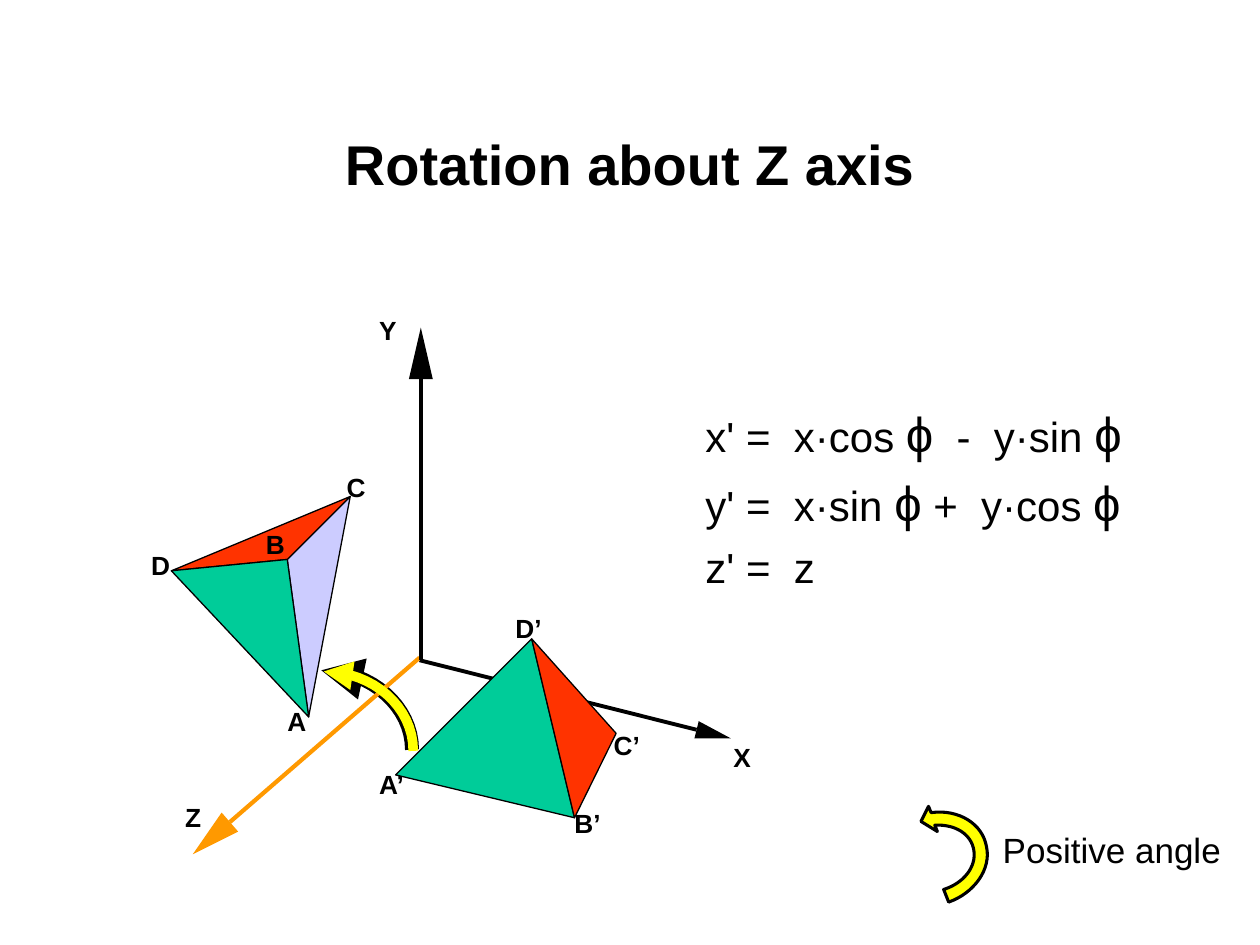
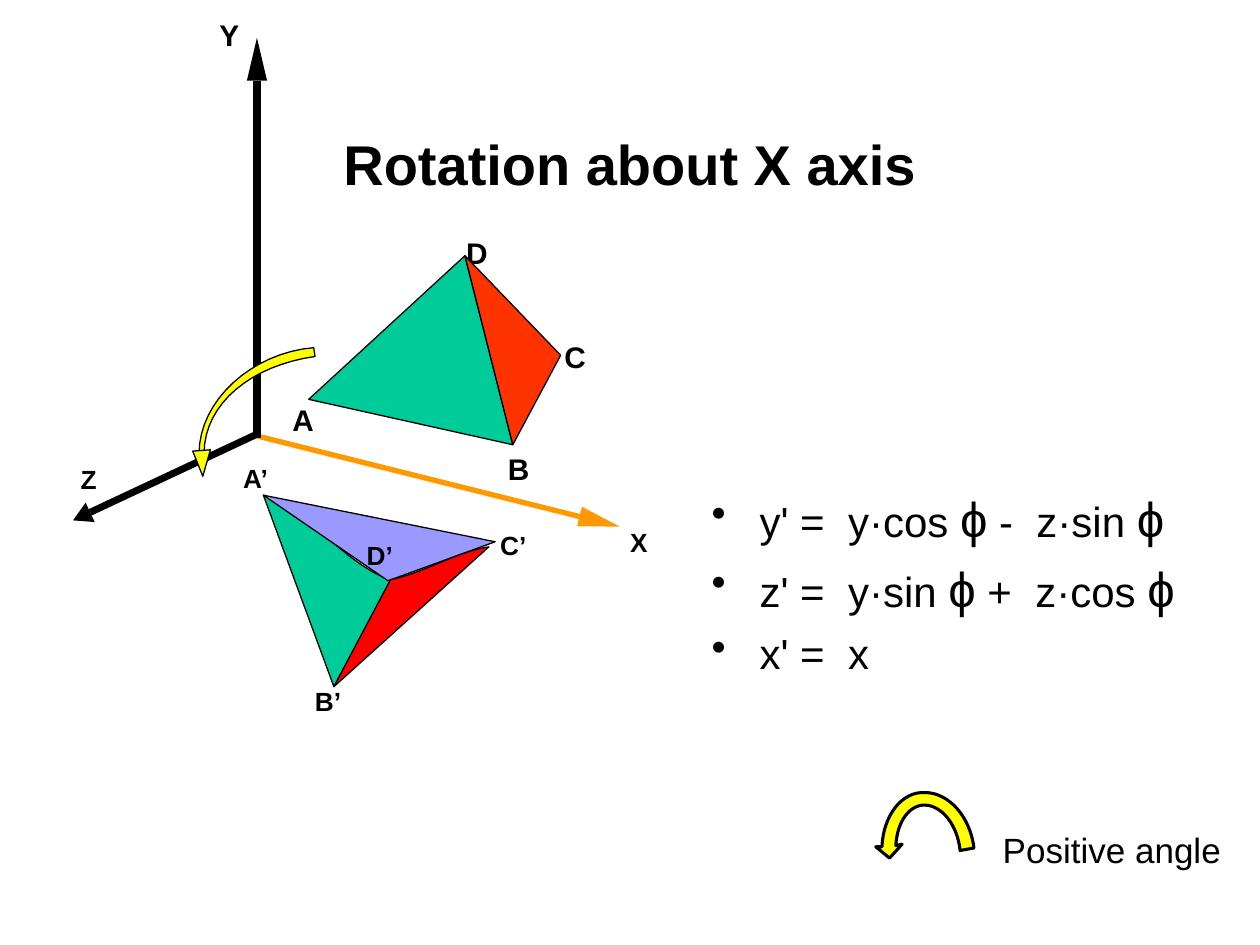
from itertools import groupby
from math import hypot

from lxml import etree
from pptx import Presentation
from pptx import util as u
from pptx.dml.color import RGBColor
from pptx.enum import shapes, text
from pptx.oxml.ns import qn

HUES = {"ink": "000000", "green": "00CC99", "red": "FF3300", "pure": "FF0000",
        "pale": "CCCCFF", "lilac": "9999FF", "gold": "FFFF00", "amber": "FF9900"}
FONT = "Arial"
PHI = "ϕ"
THIN = 0.74


def hue(name):
    """Return the colour stored under a name."""
    return RGBColor.from_string(HUES[name])


def trace(path):
    """Turn points and six-number cubic curves into a list of points."""
    dots = [path[0]]
    for step in path[1:]:
        if len(step) == 2:
            dots.append(step)
            continue
        ends = [dots[-1], step[:2], step[2:4], step[4:]]
        for i in range(1, 17):
            t = i / 16
            parts = ((1 - t) ** 3, 3 * t * (1 - t) ** 2, 3 * t * t * (1 - t), t ** 3)
            dots.append(tuple(sum(k * e[n] for k, e in zip(parts, ends)) for n in (0, 1)))
    return dots


def write(frame, words, size=15, bold=False, align=None, before=0, after=0,
          hang=0, bullet=False, phi=28):
    """Fill a text frame, one paragraph a line, with phi set larger."""
    for i, line in enumerate(words.split("\n")):
        para = frame.paragraphs[0] if i == 0 else frame.add_paragraph()
        para.alignment = align
        para.space_before, para.space_after = u.Pt(before), u.Pt(after)
        if hang:
            props = para._p.get_or_add_pPr()
            props.set("marL", str(u.Inches(hang)))
            props.set("indent", str(-u.Inches(hang)))
            if bullet:
                etree.SubElement(props, qn("a:buChar")).set("char", "•")
            else:
                etree.SubElement(props, qn("a:buNone"))
        for greek, chars in groupby(line, lambda c: c == PHI):
            run = para.add_run()
            run.text = "".join(chars)
            run.font.name, run.font.bold = FONT, bold
            run.font.size = u.Pt(phi if greek else size)
            run.font.color.rgb = hue("ink")


class Deck:
    """Holds the style and the current slide."""

    def __init__(self):
        """Start an empty deck."""
        self.show = Presentation()
        self.show.slide_width, self.show.slide_height = u.Inches(10), u.Inches(7.5)

    def page(self, name):
        """Add a slide with its title."""
        self.slide = self.show.slides.add_slide(self.show.slide_layouts[6])
        self.box(0.75, 0.67, 8.5, 1.25, name, mid=True, size=32, bold=True,
                 align=text.PP_ALIGN.CENTER, before=12, after=6)

    def box(self, x, y, w, h, words, wrap=True, pad=True, mid=False, **style):
        """Add a text box."""
        frame = self.slide.shapes.add_textbox(*map(u.Inches, (x, y, w, h))).text_frame
        frame.word_wrap = wrap
        if mid:
            frame.vertical_anchor = text.MSO_ANCHOR.MIDDLE
        if not pad:
            frame.margin_left = frame.margin_right = 0
            frame.margin_top = frame.margin_bottom = 0
        write(frame, words, **style)

    def tags(self, spots, size=15):
        """Label points with bold letters."""
        for word, (x, y) in spots.items():
            self.box(x, y, 0.15 * len(word), size / 60, word, wrap=False, pad=False,
                     size=size, bold=True)

    def face(self, path, fill=None, line="ink", wide=THIN, shut=True):
        """Draw an outline of straight and curved steps."""
        dots = [(u.Inches(x), u.Inches(y)) for x, y in trace(path)]
        pen = self.slide.shapes.build_freeform(*dots[0])
        pen.add_line_segments(dots[1:], close=shut)
        form = pen.convert_to_shape()
        form.shadow.inherit = False
        if fill:
            form.fill.solid()
            form.fill.fore_color.rgb = hue(fill)
        else:
            form.fill.background()
        if line:
            form.line.color.rgb = hue(line)
            form.line.width = u.Pt(wide)
        else:
            form.line.fill.background()
        return form

    def sweep(self, path, tint, wide):
        """Draw an open curve with an arrowhead at its start."""
        form = self.face(path, line=tint, wide=wide, shut=False)
        etree.SubElement(form.line._get_or_add_ln(), qn("a:headEnd")).set("type", "triangle")

    def axis(self, start, tip, wide, long, broad, tint="ink"):
        """Draw a shaft that ends in a long solid head."""
        dx, dy = tip[0] - start[0], tip[1] - start[1]
        span = hypot(dx, dy)
        dx, dy = dx / span, dy / span
        bx, by = tip[0] - dx * long, tip[1] - dy * long
        rod = self.slide.shapes.add_connector(
            shapes.MSO_CONNECTOR.STRAIGHT, *map(u.Inches, (*start, bx, by)))
        rod.line.color.rgb = hue(tint)
        rod.line.width = u.Pt(wide)
        etree.SubElement(rod._element.spPr, qn("a:effectLst"))
        ox, oy = -dy * broad / 2, dx * broad / 2
        self.face([tip, (bx + ox, by + oy), (bx - ox, by - oy)], fill=tint, line=None)

    def key(self, path):
        """Draw the turn arrow and its caption."""
        self.face(path, fill="gold", wide=1.76)
        self.box(7.86, 6.53, 1.93, 0.44, "Positive angle", wrap=False, size=20,
                 align=text.PP_ALIGN.CENTER)

    def rules(self, x, y, w, h, words, bullet=False):
        """Write the rotation formulas."""
        self.box(x, y, w, h, words, size=24, before=6, hang=0.38, bullet=bullet)


def turn_z(deck):
    """Build the slide on the Z axis."""
    deck.page("Rotation about Z axis")
    deck.sweep([(2.55, 5.32), (2.95, 5.32, 3.27, 5.61, 3.27, 5.95)], "ink", 8)
    deck.axis((3.33, 5.24), (5.8, 5.86), 2.2, 0.28, 0.14)

    a, b, c, d = (2.45, 5.69), (2.28, 4.44), (2.78, 3.94), (1.36, 4.53)
    deck.tags({"A": (2.28, 5.6), "C": (2.75, 3.74), "D": (1.2, 4.36)})
    deck.face([b, a, c], "pale")
    deck.face([b, c, d], "red")
    deck.face([b, a, d], "green")
    deck.tags({"B": (2.11, 4.19)})

    deck.axis((3.33, 5.22), (1.53, 6.78), 2.4, 0.39, 0.2, "amber")
    deck.axis((3.34, 5.24), (3.34, 2.6), 2.2, 0.41, 0.19)
    deck.tags({"X": (5.82, 5.88), "Y": (3.01, 2.49), "Z": (1.47, 6.36)})

    a, b, c, d = (3.14, 6.15), (4.56, 6.49), (4.89, 5.82), (4.22, 5.07)
    deck.tags({"A’": (3.01, 6.1), "B’": (4.56, 6.41),
               "C’": (4.87, 5.79), "D’": (4.09, 4.86)})
    deck.face([a, b, d], "green")
    deck.face([b, c, d], "red")

    deck.rules(5.5, 3.15, 3.92, 2.08,
               "x' =  x·cos ϕ  -  y·sin ϕ\ny' =  x·sin ϕ +  y·cos ϕ\nz' =  z")
    deck.sweep([(2.57, 5.33), (2.96, 5.33, 3.28, 5.61, 3.28, 5.96)], "gold", 5.5)
    deck.key([(7.53, 7.16), (7.73, 7.09, 7.87, 6.9, 7.83, 6.72),
              (7.8, 6.54, 7.61, 6.42, 7.39, 6.45), (7.37, 6.4), (7.31, 6.52),
              (7.44, 6.6), (7.42, 6.55), (7.58, 6.54, 7.71, 6.62, 7.73, 6.75),
              (7.75, 6.88, 7.65, 7.01, 7.49, 7.06)])


def turn_x(deck):
    """Build the slide on the X axis."""
    deck.page("Rotation about X axis")
    deck.rules(5.55, 3.83, 4.25, 2,
               "y' =  y·cos ϕ -  z·sin ϕ\nz' =  y·sin ϕ +  z·cos ϕ\nx' =  x", bullet=True)
    deck.axis((2.03, 3.45), (0.58, 4.13), 4, 0.15, 0.17)
    deck.axis((2.04, 3.46), (4.92, 4.18), 3, 0.33, 0.16, "amber")
    deck.tags({"X": (5, 4.18), "Z": (0.64, 3.68)})
    deck.tags({"Y": (1.74, 0.13), "A": (2.32, 3.19), "B": (4.03, 3.58),
               "C": (4.48, 2.69), "D": (3.7, 1.86)}, size=17)

    a, b, c, d = (2.45, 3.17), (4.07, 3.53), (4.45, 2.82), (3.69, 2.03)
    deck.face([a, b, d], "green")
    deck.face([b, c, d], "red")
    deck.axis((2.04, 3.48), (2.04, 0.3), 4.5, 0.34, 0.16)

    deck.key([(7.73, 6.73), (7.7, 6.48, 7.53, 6.29, 7.34, 6.29),
              (7.16, 6.28, 7.01, 6.47, 7, 6.72), (6.95, 6.72), (7.06, 6.81),
              (7.16, 6.7), (7.11, 6.71), (7.12, 6.52, 7.22, 6.38, 7.35, 6.39),
              (7.48, 6.4, 7.6, 6.55, 7.62, 6.75)])
    deck.face([(2.49, 2.76), (2, 2.8, 1.58, 3.18, 1.58, 3.6), (1.62, 3.6),
               (1.62, 3.2, 2, 2.9, 2.5, 2.83)], "gold")
    deck.face([(1.67, 3.57), (1.61, 3.78), (1.53, 3.58)], "gold")

    a, b, c, d = (2.09, 3.93), (2.65, 5.45), (3.93, 4.3), (3.08, 4.61)
    deck.tags({"A’": (1.93, 3.67), "B’": (2.5, 5.44), "C’": (3.97, 4.2)})
    deck.face([(3.11, 4.61), (2.71, 4.46, 2.49, 4.08, *a), b], "green")
    deck.face([d, c, a], "lilac")
    deck.face([(3.1, 4.6), (3.36, 4.55, 3.62, 4.38, 3.88, 4.34), b], "pure")
    deck.tags({"D’": (2.91, 4.28)})


deck = Deck()
turn_z(deck)
turn_x(deck)
deck.show.save("out.pptx")
